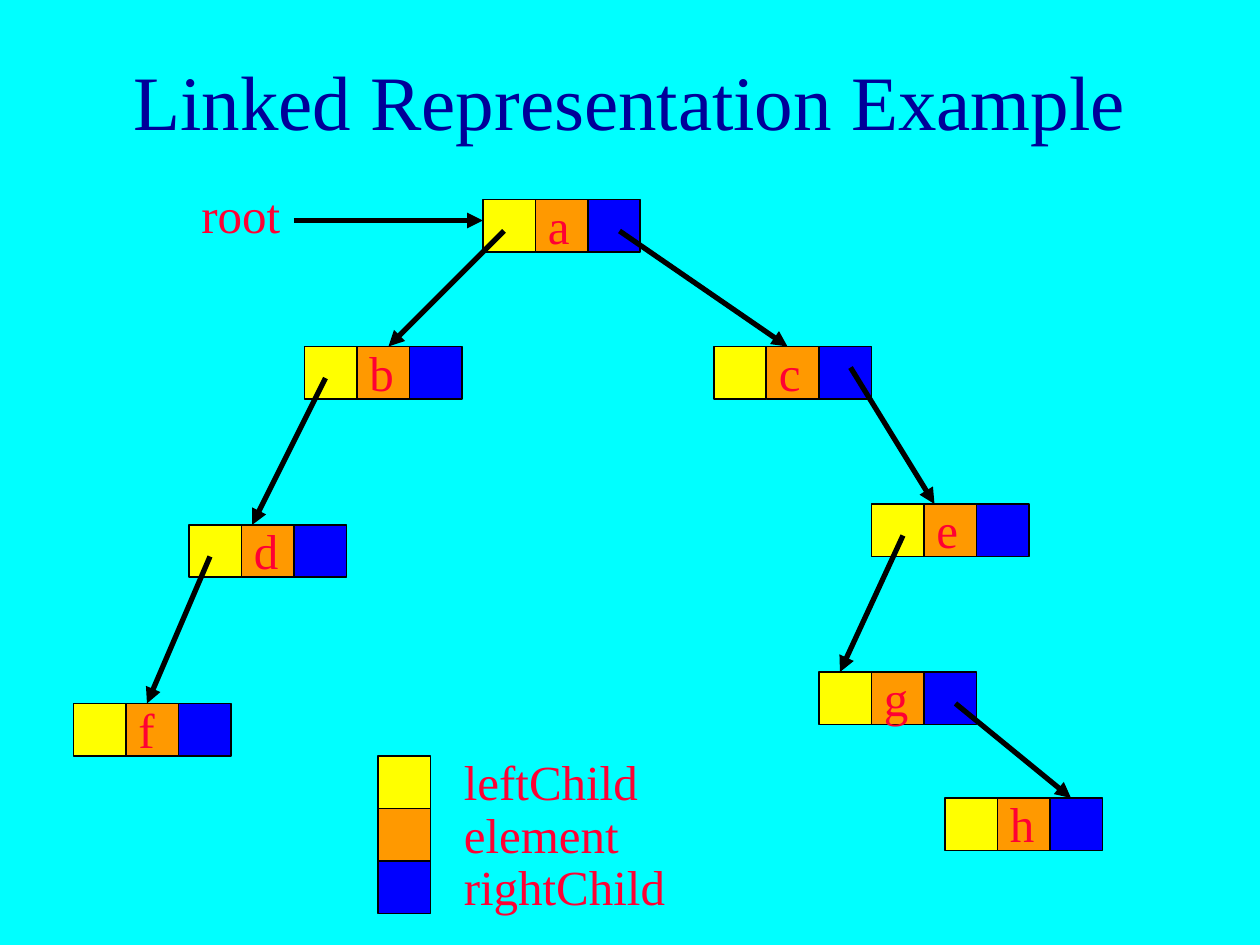
from dataclasses import dataclass

from lxml import etree
from pptx import Presentation
from pptx.dml.color import RGBColor as Rgb
from pptx.enum import shapes as kinds, text as txt
from pptx.oxml.ns import qn
from pptx.util import Pt


@dataclass(frozen=True)
class Theme:
    font: str = "Times New Roman"
    back: str = "00FFFF"
    title: str = "000099"
    label: str = "FF0033"
    ink: str = "000000"
    cells: tuple = ("FFFF00", "FF9900", "0000FF")
    big: int = 44
    size: int = 28
    thin: int = 1
    thick: int = 3


THEME = Theme()
CELL = 30
LABEL_UP, LABEL_H = 6, 41

# Left and top of each node
NODES = {
    "a": (276, 114), "c": (408, 198), "b": (174, 198), "d": (108, 300),
    "f": (42, 402), "e": (498, 288), "g": (468, 384), "h": (540, 456),
}
# Parent, start within parent, child, distance along the child's top edge
LINKS = [
    ("a", (12, 18), "b", 48),
    ("a", (78, 18), "c", 42),
    ("b", (12, 18), "d", 36),
    ("d", (12, 18), "f", 42),
    ("c", (78, 12), "e", 36),
    ("e", (18, 18), "g", 12),
    ("g", (78, 18), "h", 72),
]


def style(frame, size, color):
    for run in frame.paragraphs[0].runs:
        run.font.name = THEME.font
        run.font.size = Pt(size)
        run.font.color.rgb = Rgb.from_string(color)


def add_title(slide, left, top, width, height):
    title = slide.shapes.title
    title.left, title.top = Pt(left), Pt(top)
    title.width, title.height = Pt(width), Pt(height)
    frame = title.text_frame
    frame.text = "Linked Representation Example"
    frame.vertical_anchor = txt.MSO_ANCHOR.MIDDLE
    frame.paragraphs[0].alignment = txt.PP_ALIGN.CENTER
    style(frame, THEME.big, THEME.title)


def add_label(slide, words, left, top, width):
    box = slide.shapes.add_textbox(Pt(left), Pt(top), Pt(width), Pt(LABEL_H))
    frame = box.text_frame
    frame.word_wrap = True
    frame.text = words
    style(frame, THEME.size, THEME.label)


def add_cells(slide, left, top, across, down):
    """Draw the three fields, stepping by one cell in the given direction."""
    for i, color in enumerate(THEME.cells):
        cell = slide.shapes.add_shape(
            kinds.MSO_SHAPE.RECTANGLE,
            Pt(left + i * across), Pt(top + i * down), Pt(CELL), Pt(CELL))
        cell.shadow.inherit = False
        cell.fill.solid()
        cell.fill.fore_color.rgb = Rgb.from_string(color)
        cell.line.color.rgb = Rgb.from_string(THEME.ink)
        cell.line.width = Pt(THEME.thin)


def add_arrow(slide, start, end):
    arrow = slide.shapes.add_connector(
        kinds.MSO_CONNECTOR.STRAIGHT, *map(Pt, start + end))
    arrow.line.color.rgb = Rgb.from_string(THEME.ink)
    arrow.line.width = Pt(THEME.thick)
    props = arrow.line._get_or_add_ln()
    etree.SubElement(props, qn("a:tailEnd"), type="triangle")
    etree.SubElement(arrow._element.spPr, qn("a:effectLst"))


def add_node(slide, name, left, top):
    add_cells(slide, left, top, CELL, 0)
    add_label(slide, name, left + CELL, top - LABEL_UP, CELL)


def add_tree(slide):
    for name, (left, top) in NODES.items():
        add_node(slide, name, left, top)
    for parent, (dx, dy), child, along in LINKS:
        left, top = NODES[parent]
        to_left, to_top = NODES[child]
        add_arrow(slide, (left + dx, top + dy), (to_left + along, to_top))


def add_legend(slide, left, top):
    add_cells(slide, left, top, 0, CELL)
    for i, words in enumerate(("leftChild", "element", "rightChild")):
        add_label(slide, words, left + 42, top - LABEL_UP + i * CELL, 210)


def add_root(slide, left, top):
    add_label(slide, "root", left, top, 72)
    add_arrow(slide, (left + 60, top + 24), (left + 168, top + 24))


def main():
    deck = Presentation()
    deck.slide_width, deck.slide_height = Pt(720), Pt(540)
    slide = deck.slides.add_slide(deck.slide_layouts[5])
    slide.background.fill.solid()
    slide.background.fill.fore_color.rgb = Rgb.from_string(THEME.back)
    add_title(slide, 54, 12, 612, 90)
    add_tree(slide)
    add_legend(slide, 216, 432)
    add_root(slide, 108, 102)
    deck.save("out.pptx")


if __name__ == "__main__":
    main()
